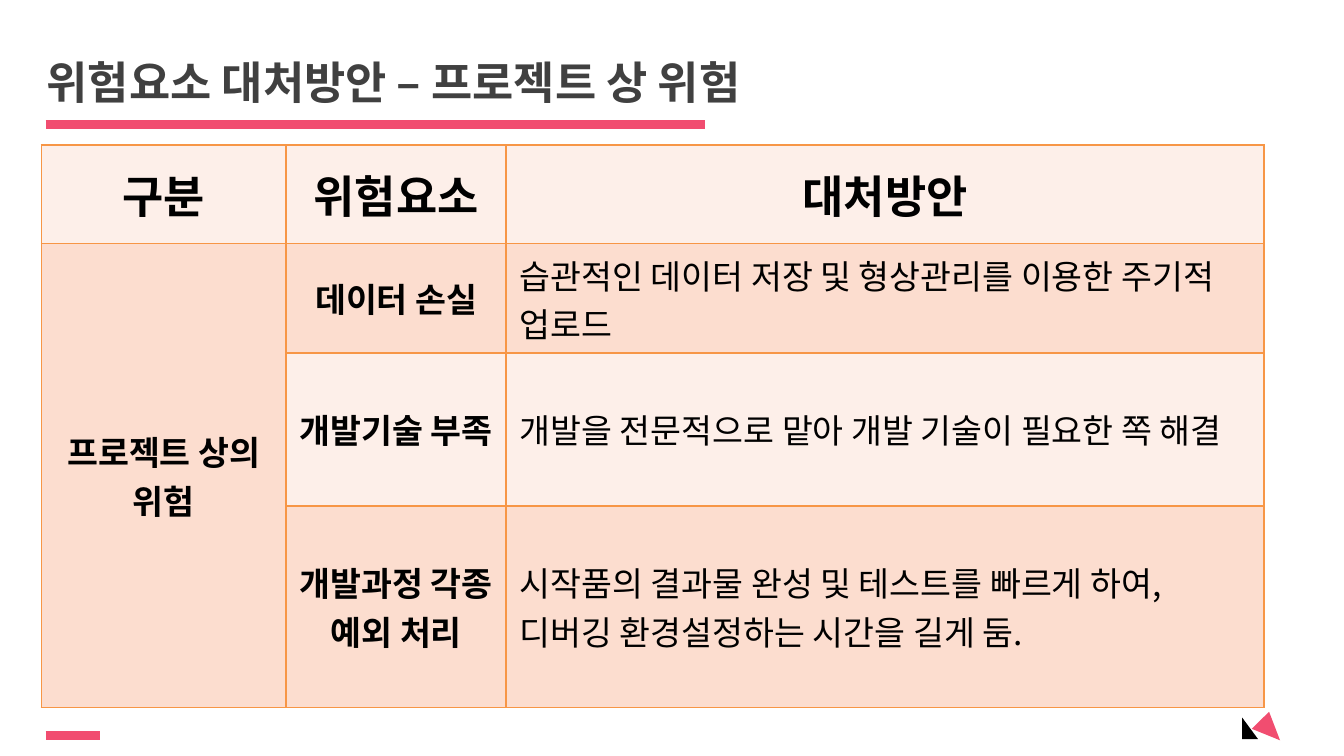
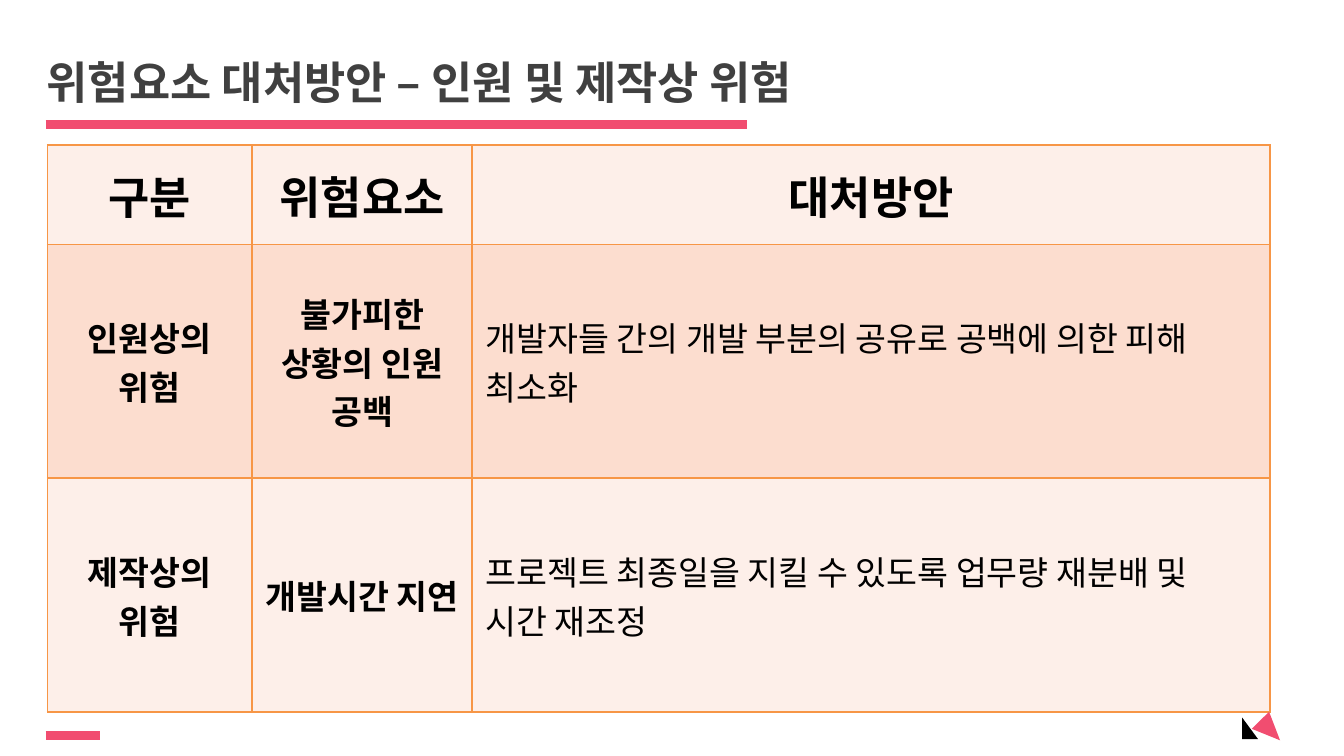
from lxml.etree import SubElement
from pptx import Presentation
from pptx.dml.color import RGBColor
from pptx.enum.shapes import MSO_CONNECTOR, MSO_SHAPE
from pptx.enum.text import MSO_ANCHOR as ANCHOR, PP_ALIGN as ALIGN
from pptx.oxml import parse_xml
from pptx.oxml.ns import nsdecls, qn
from pptx.util import Pt

FONT = "Noto Sans CJK KR"
PINK, ORANGE, BLACK, GRAY = "F14D70", "F79646", "000000", "404040"
BANDS = ["FDEFE9", "FCDDCF"]
TITLE = {"size": Pt(24), "bold": True, "color": GRAY}
HEAD = {"size": Pt(24), "bold": True, "color": BLACK}
LABEL = {"size": Pt(18), "bold": True, "color": BLACK}
BODY = {"size": Pt(18), "bold": False, "color": BLACK}

HEADINGS = ["구분", "위험요소", "대처방안"]
SLIDES = [
    {
        "title": "위험요소 대처방안 – 프로젝트 상 위험",
        "rule_end": 377.5, "left": 22.25,
        "cols": [131, 118, 406], "rows": [52.75, 58.5, 82, 108],
        "cells": [
            ["프로젝트 상의\n위험", "데이터 손실",
             "습관적인 데이터 저장 및 형상관리를 이용한 주기적 업로드"],
            [None, "개발기술 부족",
             "개발을 전문적으로 맡아 개발 기술이 필요한 쪽 해결"],
            [None, "개발과정 각종 예외 처리",
             "시작품의 결과물 완성 및 테스트를 빠르게 하여, 디버깅 환경설정하는 시간을 길게 둠."],
        ],
    },
    {
        "title": "위험요소 대처방안 – 인원 및 제작상 위험",
        "rule_end": 400, "left": 25.5,
        "cols": [109.5, 118, 427.5], "rows": [53.25, 125.25, 125.25],
        "cells": [
            ["인원상의 위험", "불가피한 상황의 인원 공백",
             "개발자들 간의 개발 부분의 공유로 공백에 의한 피해 최소화"],
            ["제작상의 위험", "개발시간 지연",
             "프로젝트 최종일을 지킬 수 있도록 업무량 재분배 및 시간 재조정"],
        ],
    },
]


def rgb(value):
    return RGBColor.from_string(value)


def write(tf, text, fmt, align):
    tf.word_wrap = True
    tf.text = text
    for p in tf.paragraphs:
        p.alignment = align
        for r in p.runs:
            for name, value in fmt.items():
                if name == "color":
                    r.font.color.rgb = rgb(value)
                else:
                    setattr(r.font, name, value)
            r.font.name = FONT
            SubElement(r.font._element, qn("a:ea")).set("typeface", FONT)


prs = Presentation()
prs.slide_width, prs.slide_height = Pt(720), Pt(405)

for page in SLIDES:
    s = prs.slides.add_slide(prs.slide_layouts[6])

    # Title
    tf = s.shapes.add_textbox(Pt(18), Pt(-1.5), Pt(648), Pt(90)).text_frame
    tf.vertical_anchor = ANCHOR.MIDDLE
    write(tf, page["title"], TITLE, ALIGN.LEFT)

    # Risk table
    cols, rows = page["cols"], page["rows"]
    table = s.shapes.add_table(len(rows), len(cols), Pt(page["left"]), Pt(77.75),
                               Pt(sum(cols)), Pt(sum(rows))).table
    table.first_row = table.horz_banding = False
    for col, width in zip(table.columns, cols):
        col.width = Pt(width)
    for row, height in zip(table.rows, rows):
        row.height = Pt(height)
    for i, texts in enumerate([HEADINGS] + page["cells"]):
        for j, text in enumerate(texts):
            cell = table.cell(i, j)
            cell.fill.solid()
            cell.fill.fore_color.rgb = rgb(BANDS[i % 2])
            cell.vertical_anchor = ANCHOR.MIDDLE
            for k, side in enumerate(["lnL", "lnR", "lnT", "lnB"]):
                cell._tc.tcPr.insert(k, parse_xml(
                    f'<a:{side} {nsdecls("a")} w="12700"><a:solidFill>'
                    f'<a:srgbClr val="{ORANGE}"/></a:solidFill></a:{side}>'))
            if text:
                fmt = HEAD if i == 0 else BODY if j == 2 else LABEL
                align = ALIGN.LEFT if fmt is BODY else ALIGN.CENTER
                write(cell.text_frame, text, fmt, align)
    if page["cells"][1][0] is None:
        table.cell(1, 0).merge(table.cell(len(rows) - 1, 0))

    # Title rule and footer dash
    for end, y, weight in [(page["rule_end"], 66.5, 4.75), (53.5, 394, 4.5)]:
        line = s.shapes.add_connector(MSO_CONNECTOR.STRAIGHT,
                                      Pt(24.5), Pt(y), Pt(end), Pt(y))
        line.line.color.rgb = rgb(PINK)
        line.line.width = Pt(weight)
        SubElement(line._element.spPr, qn("a:effectLst"))

    # Corner triangles
    for kind, x, y, w, h, angle, color in [
        (MSO_SHAPE.RIGHT_TRIANGLE, 665.5, 384.5, 8.5, 11.5, 0, BLACK),
        (MSO_SHAPE.ISOSCELES_TRIANGLE, 674, 383.75, 13, 15, 135.6, PINK),
    ]:
        sp = s.shapes.add_shape(kind, Pt(x), Pt(y), Pt(w), Pt(h))
        sp.rotation = angle
        sp.shadow.inherit = False
        sp.fill.solid()
        sp.fill.fore_color.rgb = rgb(color)
        sp.line.fill.background()

prs.save("out.pptx")
